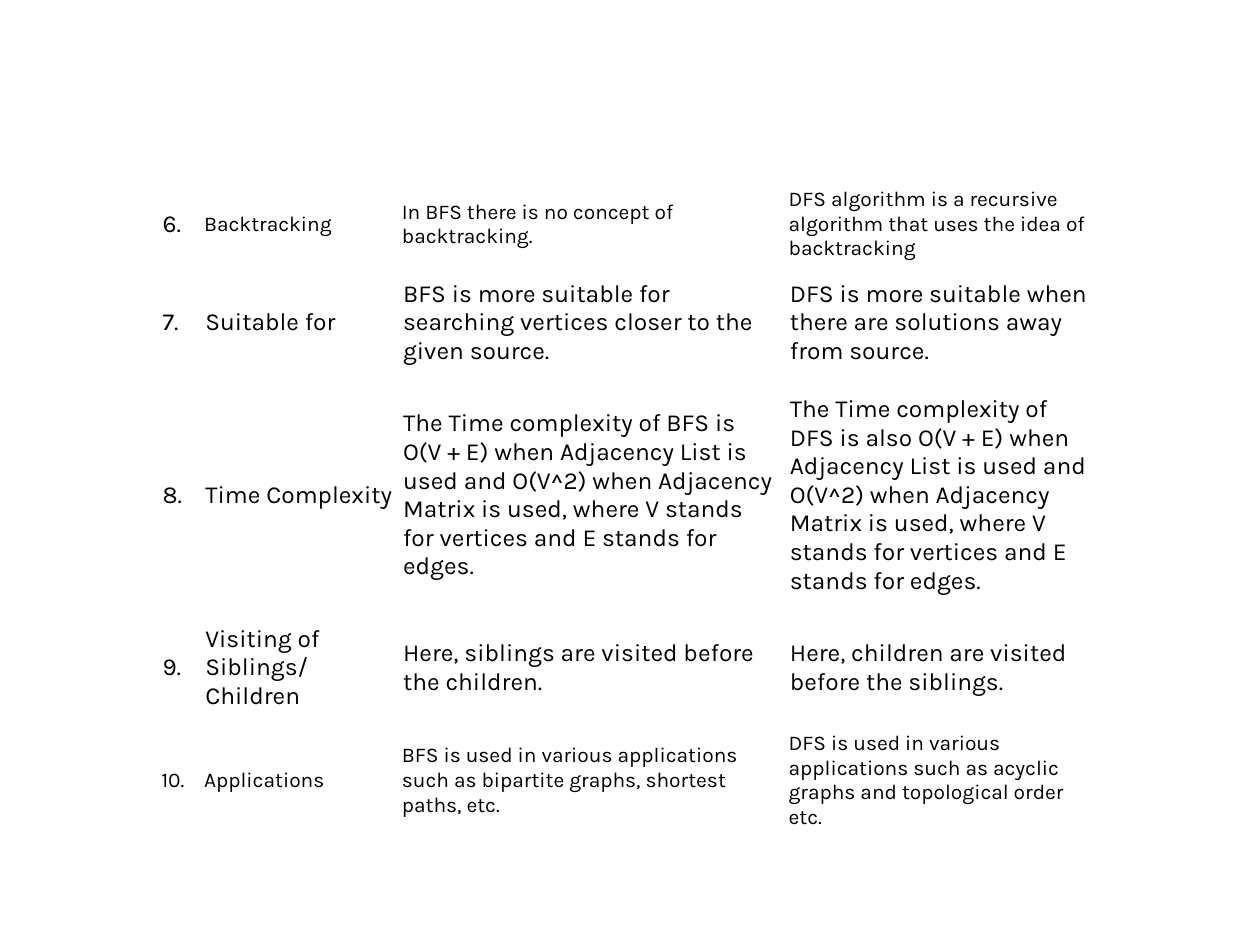
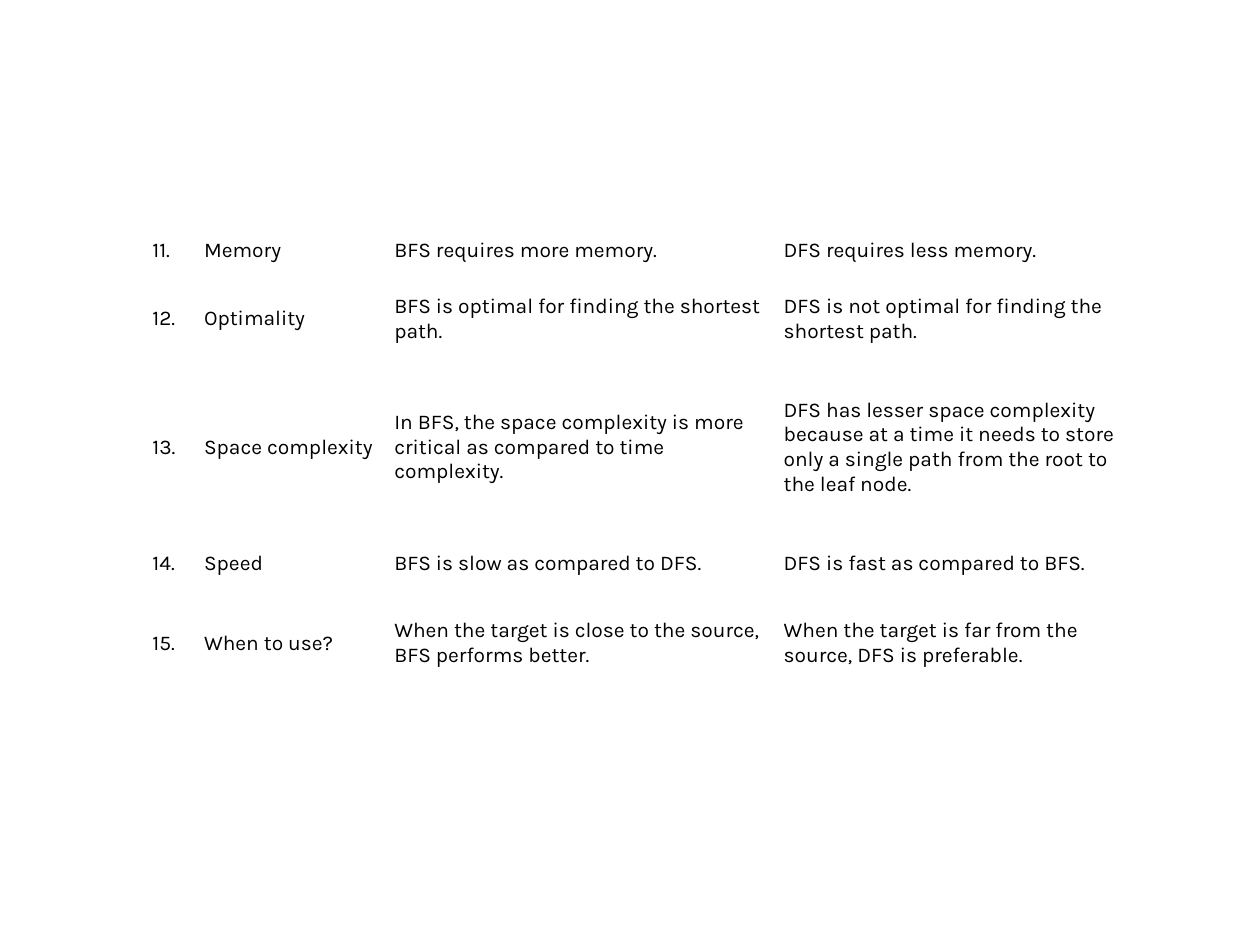
from pptx import Presentation
from pptx.dml.color import RGBColor
from pptx.enum.text import MSO_ANCHOR
from pptx.util import Inches, Pt

COLORS = {"text": "000000", "cell": "FFFFFF"}
FONT = "Karla"
SIDE_MARGIN = {12: 0.03, 14: 0.04}  # side margin in inches by text size

# Each row: height, text size, cells
comparisons = [
    {
        "left": 1.25, "top": 1.42, "widths": [0.34, 1.57, 3.07, 2.52],
        "rows": [
            (0.72, 12, ["6.", "Backtracking",
                        "In BFS there is no concept of backtracking.",
                        "DFS algorithm is a recursive algorithm that uses "
                        "the idea of backtracking"]),
            (0.84, 14, ["7.", "Suitable for",
                        "BFS is more suitable for searching vertices closer "
                        "to the given source.",
                        "DFS is more suitable when there are solutions away "
                        "from source."]),
            (1.9, 14, ["8.", "Time Complexity",
                       "The Time complexity of BFS is O(V + E) when Adjacency "
                       "List is used and O(V^2) when Adjacency Matrix is used, "
                       "where V stands for vertices and E stands for edges.",
                       "The Time complexity of DFS is also O(V + E) when "
                       "Adjacency List is used and O(V^2) when Adjacency Matrix "
                       "is used, where V stands for vertices and E stands for "
                       "edges."]),
            (0.84, 14, ["9.", "Visiting of Siblings/ Children",
                        "Here, siblings are visited before the children.",
                        "Here, children are visited before the siblings."]),
            (0.95, 12, ["10.", "Applications",
                        "BFS is used in various applications such as bipartite "
                        "graphs, shortest paths, etc.",
                        "DFS is used in various applications such as acyclic "
                        "graphs and topological order etc."]),
        ],
    },
    {
        "left": 1.18, "top": 1.77, "widths": [0.41, 1.51, 3.09, 2.74],
        "rows": [
            (0.44, 12, ["11.", "Memory", "BFS requires more memory.",
                        "DFS requires less memory."]),
            (0.64, 12, ["12.", "Optimality",
                        "BFS is optimal for finding the shortest path.",
                        "DFS is not optimal for finding the shortest path."]),
            (1.4, 12, ["13.", "Space complexity",
                       "In BFS, the space complexity is more critical as "
                       "compared to time complexity.",
                       "DFS has lesser space complexity because at a time it "
                       "needs to store only a single path from the root to the "
                       "leaf node."]),
            (0.44, 12, ["14.", "Speed", "BFS is slow as compared to DFS.",
                        "DFS is fast as compared to BFS."]),
            (0.83, 12, ["15.", "When to use?",
                        "When the target is close to the source, BFS performs "
                        "better.",
                        "When the target is far from the source, DFS is "
                        "preferable."]),
        ],
    },
]

prs = Presentation()
prs.slide_width, prs.slide_height = Inches(10), Inches(7.5)

for comparison in comparisons:
    s = prs.slides.add_slide(prs.slide_layouts[6])
    widths, rows = comparison["widths"], comparison["rows"]

    # Table frame
    table = s.shapes.add_table(
        len(rows), len(widths),
        Inches(comparison["left"]), Inches(comparison["top"]),
        Inches(sum(widths)), Inches(sum(row[0] for row in rows))).table
    table.first_row = table.horz_banding = False
    for column, width in zip(table.columns, widths):
        column.width = Inches(width)

    # Cells
    for row, (height, row_size, texts) in zip(table.rows, rows):
        row.height = Inches(height)
        for cell, text in zip(row.cells, texts):
            size = 14 if text == "6." else row_size  # this number is larger than its row
            cell.fill.solid()
            cell.fill.fore_color.rgb = RGBColor.from_string(COLORS["cell"])
            cell.vertical_anchor = MSO_ANCHOR.MIDDLE
            cell.margin_left = cell.margin_right = Inches(SIDE_MARGIN[size])
            cell.margin_top = cell.margin_bottom = Inches(0.05)
            p = cell.text_frame.paragraphs[0]
            p.text = text
            p.font.name = FONT
            p.font.size = Pt(size)
            p.font.color.rgb = RGBColor.from_string(COLORS["text"])

prs.save("out.pptx")
